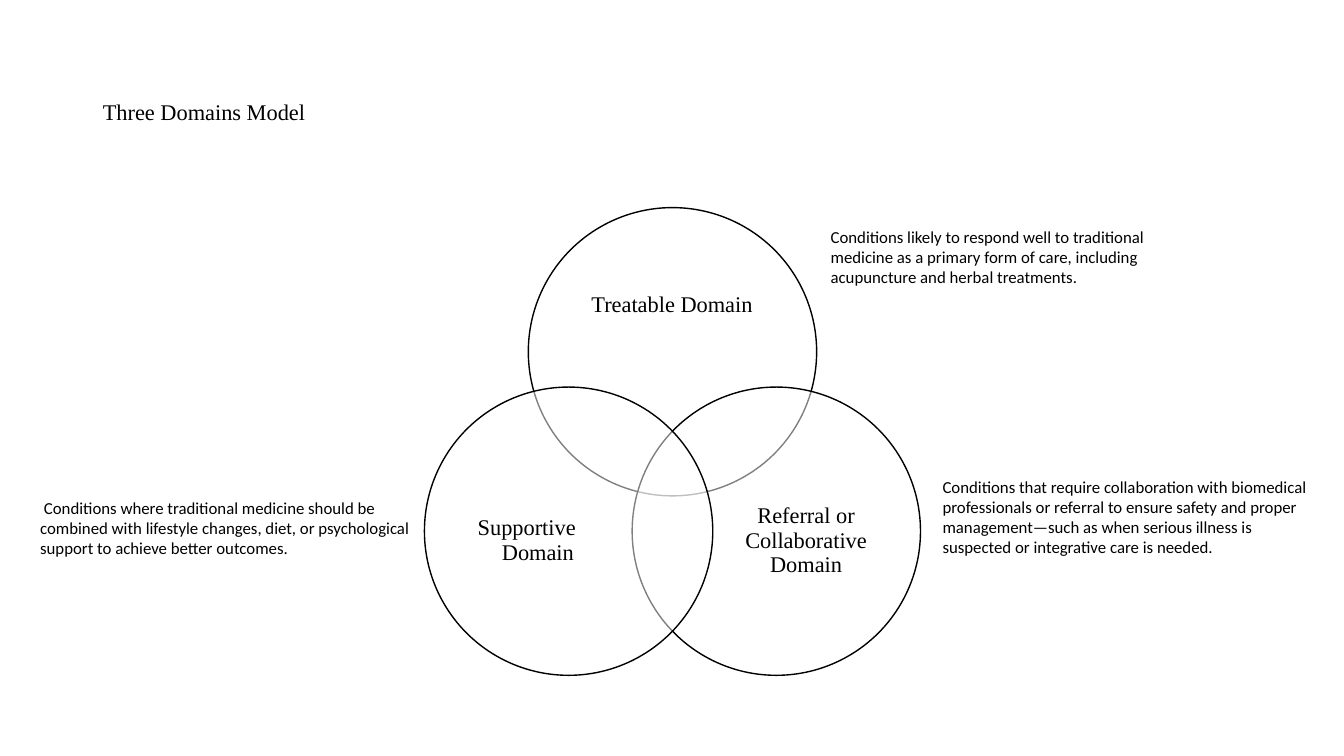
from lxml.etree import SubElement
from pptx import Presentation
from pptx.dml.color import RGBColor
from pptx.enum.shapes import MSO_SHAPE
from pptx.enum.text import MSO_ANCHOR, PP_ALIGN
from pptx.oxml.ns import qn
from pptx.util import Inches, Pt

BLACK = RGBColor(0, 0, 0)
WHITE = RGBColor(255, 255, 255)
SERIF, SANS = "Times New Roman", "Calibri"

TITLE = "Three Domains Model"
# Label, circle offset from the top circle (x, y), label box
DOMAINS = [
    ("Treatable Domain", (0, 0), (5.62, 2.56, 2.09, 0.94)),
    ("Referral or Collaborative Domain", (1.03, 1.78), (7.14, 4.58, 1.71, 1.57)),
    ("Supportive　Domain", (-1.03, 1.78), (4.48, 4.58, 1.71, 1.57)),
]
# Text, box
NOTES = [
    ("Conditions likely to respond well to traditional medicine as a primary "
     "form of care, including acupuncture and herbal treatments.",
     (8.14, 2.2, 3.93, 0.71)),
    (" Conditions where traditional medicine should be combined with lifestyle "
     "changes, diet, or psychological support to achieve better outcomes.",
     (0.3, 4.89, 3.93, 0.71)),
    ("Conditions that require collaboration with biomedical professionals or "
     "referral to ensure safety and proper management—such as when serious "
     "illness is suspected or integrative care is needed.",
     (9.25, 4.68, 3.93, 0.91)),
]
CIRCLE_LEFT, CIRCLE_TOP, DIAMETER = 5.24, 2.06, 2.86


def write(frame, text, font, size):
    """Put one run of black text in the frame and return its paragraph."""
    frame.word_wrap = True
    para = frame.paragraphs[0]
    span = para.add_run()
    span.text = text
    span.font.name = font
    span.font.size = Pt(size)
    span.font.color.rgb = BLACK
    return para


def add_text(page, bounds, text, font, size):
    box = page.shapes.add_textbox(*map(Inches, bounds))
    return box.text_frame, write(box.text_frame, text, font, size)


def add_circle(page, left, top):
    circle = page.shapes.add_shape(
        MSO_SHAPE.OVAL, *map(Inches, (left, top, DIAMETER, DIAMETER)))
    circle.shadow.inherit = False
    circle.fill.solid()
    circle.fill.fore_color.rgb = WHITE
    circle.line.color.rgb = BLACK
    circle.line.width = Pt(1)
    # Half-transparent fill
    color = circle._element.spPr.find(qn("a:solidFill")).find(qn("a:srgbClr"))
    SubElement(color, qn("a:alpha")).set("val", "50000")


def add_label(page, bounds, text):
    frame, para = add_text(page, bounds, text, SERIF, 16)
    frame.margin_left = frame.margin_right = 0
    frame.margin_top = frame.margin_bottom = 0
    frame.vertical_anchor = MSO_ANCHOR.MIDDLE
    para.alignment = PP_ALIGN.CENTER
    para.line_spacing = 0.9


def main():
    deck = Presentation()
    deck.slide_width, deck.slide_height = Inches(13.33), Inches(7.5)
    page = deck.slides.add_slide(deck.slide_layouts[5])

    # Title
    title = page.shapes.title
    title.left, title.top, title.width, title.height = map(
        Inches, (0.92, 0.4, 11.5, 1.45))
    title.text_frame.vertical_anchor = MSO_ANCHOR.MIDDLE
    para = write(title.text_frame, TITLE, SERIF, 16)
    para.alignment = PP_ALIGN.LEFT
    para.line_spacing = 0.9

    # Overlapping circles with their labels
    for label, (across, down), bounds in DOMAINS:
        add_circle(page, CIRCLE_LEFT + across, CIRCLE_TOP + down)
        add_label(page, bounds, label)

    # Explanations beside the circles
    for text, bounds in NOTES:
        add_text(page, bounds, text, SANS, 12)

    deck.save("out.pptx")


if __name__ == "__main__":
    main()
